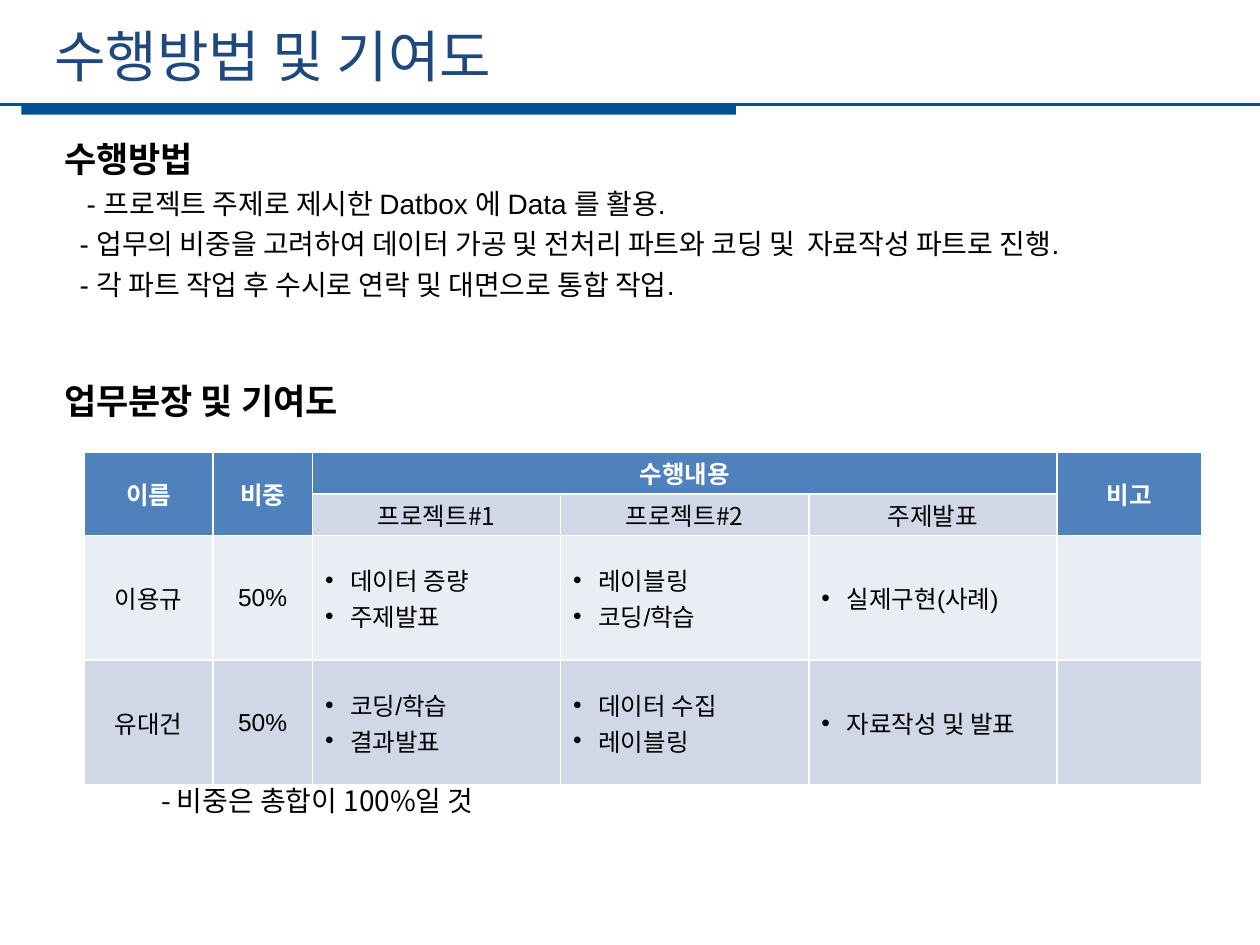
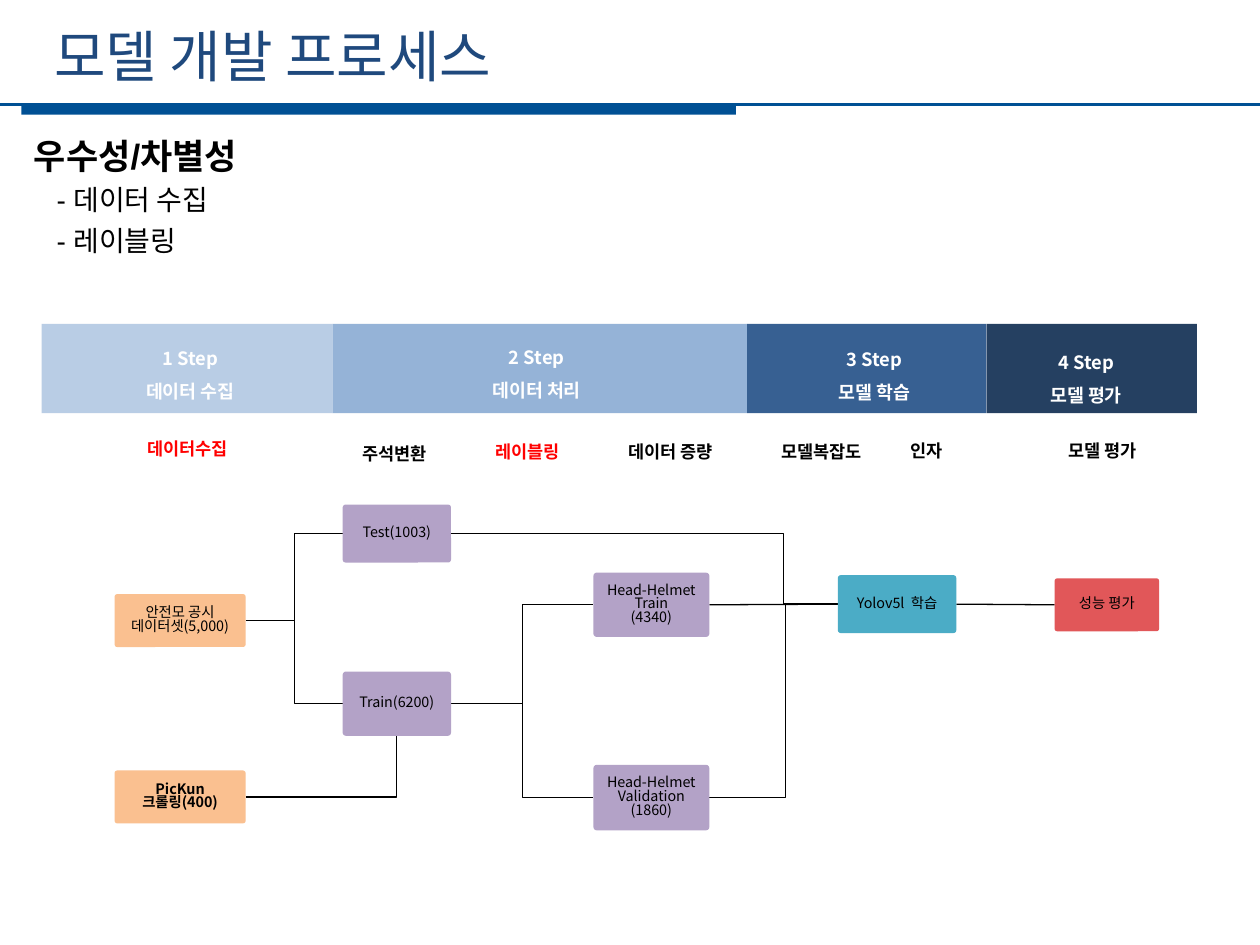
from lxml.etree import SubElement
from pptx import Presentation
from pptx.dml.color import RGBColor
from pptx.enum.shapes import MSO_CONNECTOR, MSO_SHAPE
from pptx.enum.text import MSO_ANCHOR, PP_ALIGN
from pptx.oxml.ns import qn
from pptx.util import Inches, Pt

C = {
    "band": "005094", "title": "1F497D", "black": "000000", "white": "FFFFFF", "red": "FF0000",
    "head": "4F81BD", "dark_row": "D0D8E8", "light_row": "E9EDF4",
    "step1": "B9CDE5", "step2": "95B3D7", "step3": "376092", "step4": "254061",
    "source": "FAC090", "data": "B3A2C7", "train": "4BACC6", "score": "E15759",
}
C = {name: RGBColor.from_string(value) for name, value in C.items()}
KR = "Noto Sans CJK KR"
CENTER = PP_ALIGN.CENTER

prs = Presentation()
prs.slide_width, prs.slide_height = Inches(10), Inches(7.5)
UNIT = prs.slide_width // 100  # the grid has 100 columns and 75 rows


def grid(*cells):
    return [int(n * UNIT) for n in cells]


def write(tf, text, size=14, color="black", font=KR, bold=False, align=PP_ALIGN.LEFT,
          spacing=None, before=0, indent=0, bullet=False):
    """Append each line of text to the frame as a paragraph."""
    for line in text.split("\n"):
        p = tf.add_paragraph() if tf.text else tf.paragraphs[0]
        p.alignment = align
        if spacing:
            p.line_spacing = spacing
        if before:
            p.space_before = Pt(before)
        pPr = p._p.get_or_add_pPr()
        if indent:
            pPr.set("marL", str(grid(indent)[0]))
            pPr.set("indent", str(grid(-indent)[0] if bullet else 0))
        if bullet:
            SubElement(pPr, qn("a:buFont"), typeface="Arial")
            SubElement(pPr, qn("a:buChar"), char="•")
        r = p.add_run()
        r.text = line
        r.font.name, r.font.size, r.font.bold = font, Pt(size), bold
        r.font.color.rgb = C[color]
        SubElement(r._r.get_or_add_rPr(), qn("a:ea"), typeface=KR)


# Shared frame: title, thin rule and thick band
slides = []
for title in ("수행방법 및 기여도", "모델 개발 프로세스"):
    s = prs.slides.add_slide(prs.slide_layouts[5])
    sp = s.shapes.title
    sp.left, sp.top, sp.width, sp.height = grid(3.3, 1.2, 89.6, 6.4)
    sp.text_frame.vertical_anchor = MSO_ANCHOR.MIDDLE
    write(sp.text_frame, title, size=32, color="title")

    band = s.shapes.add_shape(MSO_SHAPE.RECTANGLE, *grid(1.7, 8.3, 56.7, 0.8))
    band.shadow.inherit = False
    band.fill.solid()
    band.fill.fore_color.rgb = C["band"]
    band.line.fill.background()
    rule = s.shapes.add_connector(MSO_CONNECTOR.STRAIGHT, *grid(0, 8.3, 100, 8.3))
    rule.line.color.rgb, rule.line.width = C["band"], Pt(1.25)
    SubElement(rule._element.spPr, qn("a:effectLst"))
    slides.append(s)
methods, process = slides

# Slide 1: how the work was done
body = {"font": "Arial", "spacing": Pt(23)}
tf = methods.shapes.add_textbox(*grid(4.1, 10.6, 91.2, 23.6)).text_frame
tf.word_wrap = True
write(tf, "수행방법", size=20, bold=True, **body)
write(tf, "- 프로젝트 주제로 제시한 Datbox 에 Data 를 활용.", size=16, indent=1.8, **body)
write(tf, "- 업무의 비중을 고려하여 데이터 가공 및 전처리 파트와 코딩 및  자료작성 파트로 진행.\n"
          "- 각 파트 작업 후 수시로 연락 및 대면으로 통합 작업.", size=16, indent=1.23, **body)
write(tf, "업무분장 및 기여도", size=20, bold=True, before=46, **body)

# Slide 1: table of duties
rows = [
    ["이름", "비중", "수행내용", "", "", "비고"],
    ["", "", "프로젝트#1", "프로젝트#2", "주제발표", ""],
    ["이용규", "50%", "데이터 증량\n주제발표", "레이블링\n코딩/학습", "실제구현(사례)", ""],
    ["유대건", "50%", "코딩/학습\n결과발표", "데이터 수집\n레이블링", "자료작성 및 발표", ""],
]
row_fills = ["head", "dark_row", "light_row", "dark_row"]
table = methods.shapes.add_table(4, 6, *grid(6.7, 35.9, 88.7, 26.4)).table
for column, width in zip(table.columns, grid(10.2, 7.9, 19.7, 19.7, 19.7, 11.5)):
    column.width = width
for row, height in zip(table.rows, grid(3.3, 3.3, 9.9, 9.9)):
    row.height = height
for i, row in enumerate(rows):
    for j, text in enumerate(row):
        cell = table.cell(i, j)
        is_head = i == 0 or (i == 1 and j in (0, 1, 5))
        is_list = i > 1 and j > 1
        cell.fill.solid()
        cell.fill.fore_color.rgb = C["head" if is_head else row_fills[i]]
        cell.vertical_anchor = MSO_ANCHOR.MIDDLE
        cell.margin_top = cell.margin_bottom = grid(0.2)[0]
        if is_list and text:
            write(cell.text_frame, text, font="Arial", indent=2, bullet=True)
        elif text:
            write(cell.text_frame, text, color="white" if is_head else "black", bold=is_head,
                  font="Arial" if text == "50%" else KR, align=CENTER)
for j in (0, 1, 5):
    table.cell(0, j).merge(table.cell(1, j))
table.cell(0, 2).merge(table.cell(0, 4))

tf = methods.shapes.add_textbox(*grid(11.8, 61.7, 40, 3.7)).text_frame
tf.word_wrap = True
write(tf, "- 비중은 총합이 100%일 것", size=16)

# Slide 2: strengths
tf = process.shapes.add_textbox(*grid(1.7, 10.3, 95.2, 13.6)).text_frame
tf.word_wrap = True
write(tf, "우수성/차별성", size=20, bold=True, **body)
write(tf, "- 데이터 수집\n- 레이블링", size=16, indent=1.8, **body)

# Slide 2: step bar, as left and right edge, then label centre and top
steps = [
    ("데이터 수집", 3.3, 26.4, 15.1, 26.2),
    ("데이터 처리", 26.4, 59.3, 42.6, 26.1),
    ("모델 학습", 59.3, 78.3, 69.4, 26.3),
    ("모델 평가", 78.3, 95, 86.2, 26.5),
]
for n, (name, left, right, center, top) in enumerate(steps, 1):
    sp = process.shapes.add_shape(MSO_SHAPE.RECTANGLE, *grid(left, 25.7, right - left, 7.1))
    sp.shadow.inherit = False
    sp.fill.solid()
    sp.fill.fore_color.rgb = C[f"step{n}"]
    sp.line.fill.background()
    tf = process.shapes.add_textbox(*grid(center - 5, top, 10, 6)).text_frame
    tf.word_wrap = True
    write(tf, f"{n} Step\n{name}", size=10.5, color="white", bold=True, align=CENTER, spacing=1.5)

# Slide 2: tasks under the steps, as centre and top
tasks = [
    ("데이터수집", 14.9, 34.3, "red"), ("주석변환", 31.3, 34.7, "black"),
    ("레이블링", 41.9, 34.5, "red"), ("데이터 증량", 53.2, 34.5, "black"),
    ("모델복잡도", 65.2, 34.5, "black"), ("인자", 73.5, 34.4, "black"),
    ("모델 평가", 87.5, 34.4, "black"),
]
for text, center, top, color in tasks:
    tf = process.shapes.add_textbox(*grid(center - 5, top, 10, 2.7)).text_frame
    tf.word_wrap = True
    write(tf, text, size=10, color=color, bold=True, align=CENTER)

# Slide 2: flow nodes, as text, colour, left, centre row, width, height
nodes = {
    "public": ("안전모 공시\n데이터셋(5,000)", "source", 9.1, 49.25, 10.4, 4.2),
    "crawl": ("PicKun\n크롤링(400)", "source", 9.1, 63.25, 10.4, 4.2),
    "test": ("Test(1003)", "data", 27.2, 42.35, 8.6, 4.6),
    "train": ("Train(6200)", "data", 27.2, 55.85, 8.6, 5.1),
    "helmet_train": ("Head-Helmet\nTrain\n(4340)", "data", 47.1, 48, 9.2, 5.1),
    "helmet_valid": ("Head-Helmet\nValidation\n(1860)", "data", 47.1, 63.3, 9.2, 5.2),
    "learn": ("Yolov5l  학습", "train", 66.5, 47.95, 9.4, 4.6),
    "score": ("성능 평가", "score", 83.7, 48, 8.3, 4.2),
}

# Links leave the right side and enter the left side; bend is a share of the width
links = [
    ("public", "test", 0.5), ("public", "train", 0.5), ("crawl", "train", 1),
    ("train", "helmet_train", 0.5), ("train", "helmet_valid", 0.5),
    ("test", "learn", 0.86), ("helmet_valid", "learn", 0.59),
    ("helmet_train", "learn", None), ("learn", "score", None),
]
for start, end, bend in links:
    _, _, left, y1, width, _ = nodes[start]
    _, _, x2, y2, end_width, end_height = nodes[end]
    if bend == 1:  # turns up into the bottom of the node
        x2, y2 = x2 + end_width / 2, y2 + end_height / 2
    kind = MSO_CONNECTOR.ELBOW if bend else MSO_CONNECTOR.STRAIGHT
    link = process.shapes.add_connector(kind, *grid(left + width, y1, x2, y2))
    link.line.color.rgb, link.line.width = C["black"], Pt(0.75)
    spPr = link._element.spPr
    SubElement(spPr, qn("a:effectLst"))
    if bend:
        geom = spPr.find(qn("a:prstGeom"))
        av = geom.find(qn("a:avLst"))
        if av is None:
            av = SubElement(geom, qn("a:avLst"))
        SubElement(av, qn("a:gd"), name="adj1", fmla=f"val {round(bend * 100000)}")

for name, (text, color, left, middle, width, height) in nodes.items():
    sp = process.shapes.add_shape(MSO_SHAPE.ROUNDED_RECTANGLE,
                                  *grid(left, middle - height / 2, width, height))
    sp.adjustments[0] = 0.05
    sp.shadow.inherit = False
    sp.fill.solid()
    sp.fill.fore_color.rgb = C[color]
    sp.line.fill.background()
    tf = sp.text_frame
    tf.word_wrap = True
    tf.vertical_anchor = MSO_ANCHOR.MIDDLE
    tf.margin_left = tf.margin_right = tf.margin_top = tf.margin_bottom = 0
    write(tf, text, size=8.2, bold=name == "crawl", align=CENTER, spacing=0.8)

prs.save("out.pptx")
